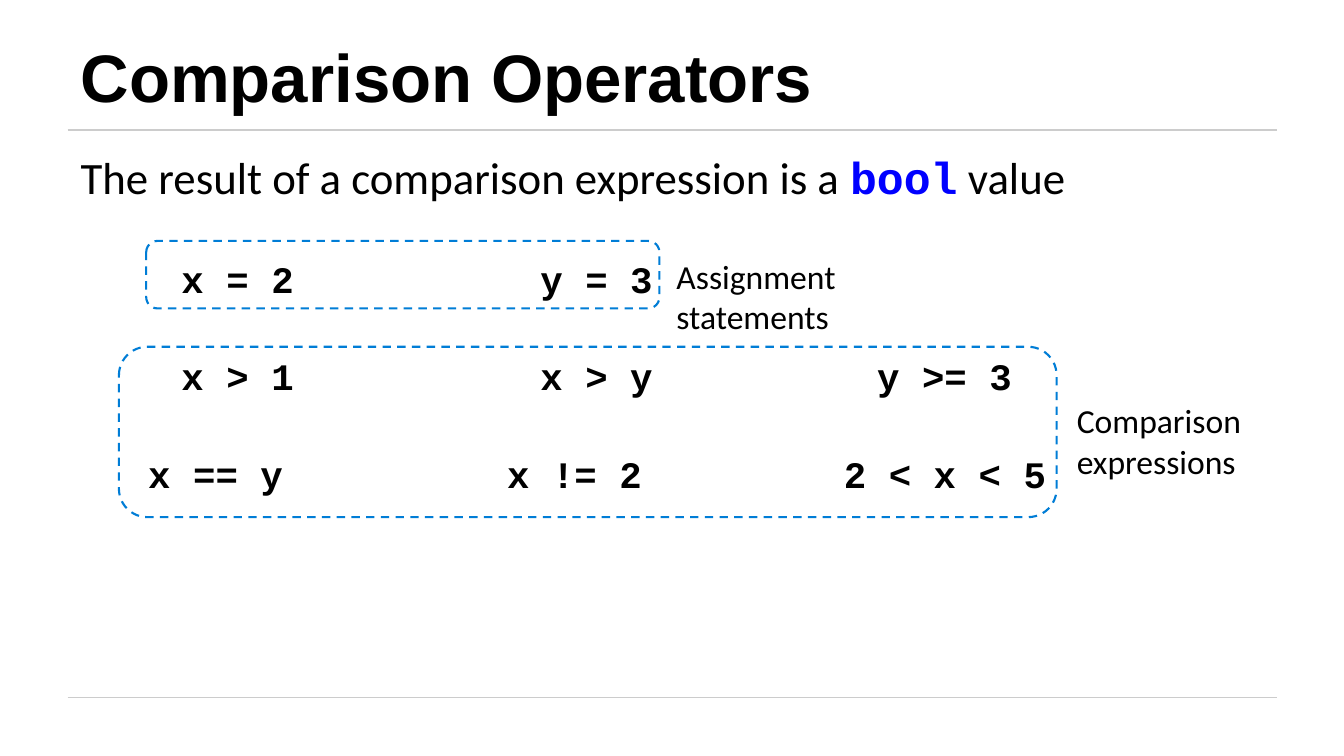
from dataclasses import dataclass

from lxml.etree import SubElement
from pptx import Presentation
from pptx.dml.color import RGBColor
from pptx.enum.dml import MSO_LINE
from pptx.enum.shapes import MSO_CONNECTOR, MSO_SHAPE
from pptx.enum.text import MSO_ANCHOR, MSO_AUTO_SIZE, PP_ALIGN
from pptx.oxml.ns import qn
from pptx.util import Inches, Pt


@dataclass(frozen=True)
class Theme:
    """Colours, fonts and type sizes of the slide."""

    text: str = "000000"
    keyword: str = "0000FF"
    rule: str = "CCCCCC"
    frame: str = "007DD6"
    title_font: str = "Arial"
    body_font: str = "Calibri"
    code_font: str = "Courier New"
    title_size: float = 48
    body_size: float = 32
    code_size: float = 26.7
    label_size: float = 24


def apply(target, values):
    """Set each named attribute on the target."""
    for name, value in values.items():
        setattr(target, name, value)


class SlideBuilder:
    """Draws styled elements on the current slide."""

    def __init__(self, slide, theme):
        """Keep the slide and its theme."""
        self.slide = slide
        self.theme = theme

    def prepare(self, shape, anchor=MSO_ANCHOR.TOP):
        """Give a text shape its wrapping and margins and return its frame."""
        margins = dict.fromkeys(
            ("margin_left", "margin_top", "margin_right", "margin_bottom"), Inches(0.13)
        )
        frame = shape.text_frame
        apply(frame, {"word_wrap": True, "auto_size": MSO_AUTO_SIZE.NONE,
                      "vertical_anchor": anchor, **margins})
        return frame

    def run(self, paragraph, text, font, size, bold=False, color=None):
        """Add a formatted run."""
        run = paragraph.add_run()
        run.text = text
        apply(run.font, {"name": font, "size": Pt(size), "bold": bold})
        run.font.color.rgb = RGBColor.from_string(color or self.theme.text)

    def title(self, text, box):
        """Place and format the title placeholder."""
        shape = self.slide.shapes.title
        apply(shape, dict(zip(("left", "top", "width", "height"), map(Inches, box))))
        paragraph = self.prepare(shape, MSO_ANCHOR.BOTTOM).paragraphs[0]
        apply(paragraph, {"alignment": PP_ALIGN.LEFT, "line_spacing": 0.9})
        self.run(paragraph, text, self.theme.title_font, self.theme.title_size, True)

    def rule(self, left, right, top):
        """Draw a thin horizontal line."""
        line = self.slide.shapes.add_connector(
            MSO_CONNECTOR.STRAIGHT, *map(Inches, (left, top, right, top))
        )
        line.line.color.rgb = RGBColor.from_string(self.theme.rule)
        line.line.width = Pt(0.75)
        SubElement(line._element.spPr, qn("a:effectLst"))

    def body(self, box, sentence, code_rows, columns):
        """Write the sentence and the code rows aligned on tab stops."""
        theme = self.theme
        frame = self.prepare(self.slide.shapes.add_textbox(*map(Inches, box)))
        paragraph = frame.paragraphs[0]
        paragraph.line_spacing = 0.9
        for text, is_code in sentence:
            font = theme.code_font if is_code else theme.body_font
            color = theme.keyword if is_code else theme.text
            self.run(paragraph, text, font, theme.body_size, is_code, color)
        for start, cells in code_rows:
            paragraph = frame.add_paragraph()
            apply(paragraph, {"line_spacing": 0.9, "space_before": Pt(40.6)})
            tabs = SubElement(paragraph._p.get_or_add_pPr(), qn("a:tabLst"))
            for column in columns[:len(cells)]:
                SubElement(tabs, qn("a:tab"), pos=str(Inches(start + column)), algn="l")
            text = "".join(f"\t{cell}" for cell in cells)
            self.run(paragraph, text, theme.code_font, theme.code_size, True)

    def callout(self, text, frame_box, label_box):
        """Group a dashed rounded frame with its label."""
        group = self.slide.shapes.add_group_shape()
        outline = group.shapes.add_shape(
            MSO_SHAPE.ROUNDED_RECTANGLE, *map(Inches, frame_box)
        )
        outline.adjustments[0] = 0.167
        outline.shadow.inherit = False
        outline.fill.background()
        outline.line.color.rgb = RGBColor.from_string(self.theme.frame)
        apply(outline.line, {"width": Pt(1.5), "dash_style": MSO_LINE.DASH})
        label = self.prepare(group.shapes.add_textbox(*map(Inches, label_box)))
        self.run(label.paragraphs[0], text, self.theme.body_font, self.theme.label_size)


def main():
    """Build and save the presentation."""
    presentation = Presentation()
    apply(presentation, {"slide_width": Inches(13.33), "slide_height": Inches(7.5)})
    slide = presentation.slides.add_slide(presentation.slide_layouts[5])
    builder = SlideBuilder(slide, Theme())

    for top in (1.29, 6.92):
        builder.rule(0.67, 12.67, top)
    builder.title("Comparison Operators", (0.67, 0.3, 9.78, 0.99))
    builder.body(
        (0.67, 1.42, 12, 4.1),
        [("The result of a comparison expression is a ", False),
         ("bool", True), (" value", False)],
        [(1, ("x = 2", "y = 3")),
         (1, ("x > 1", "x > y", "y >= 3")),
         (0.67, ("x == y", "x != 2", "2 < x < 5"))],
        (0, 3.56, 6.9),
    )
    builder.callout("Assignment statements",
                    (1.45, 2.39, 5.09, 0.67), (6.58, 2.41, 2.97, 0.54))
    builder.callout("Comparison expressions",
                    (1.18, 3.44, 9.3, 1.69), (10.55, 3.84, 2.23, 0.9))
    presentation.save("out.pptx")


if __name__ == "__main__":
    main()
